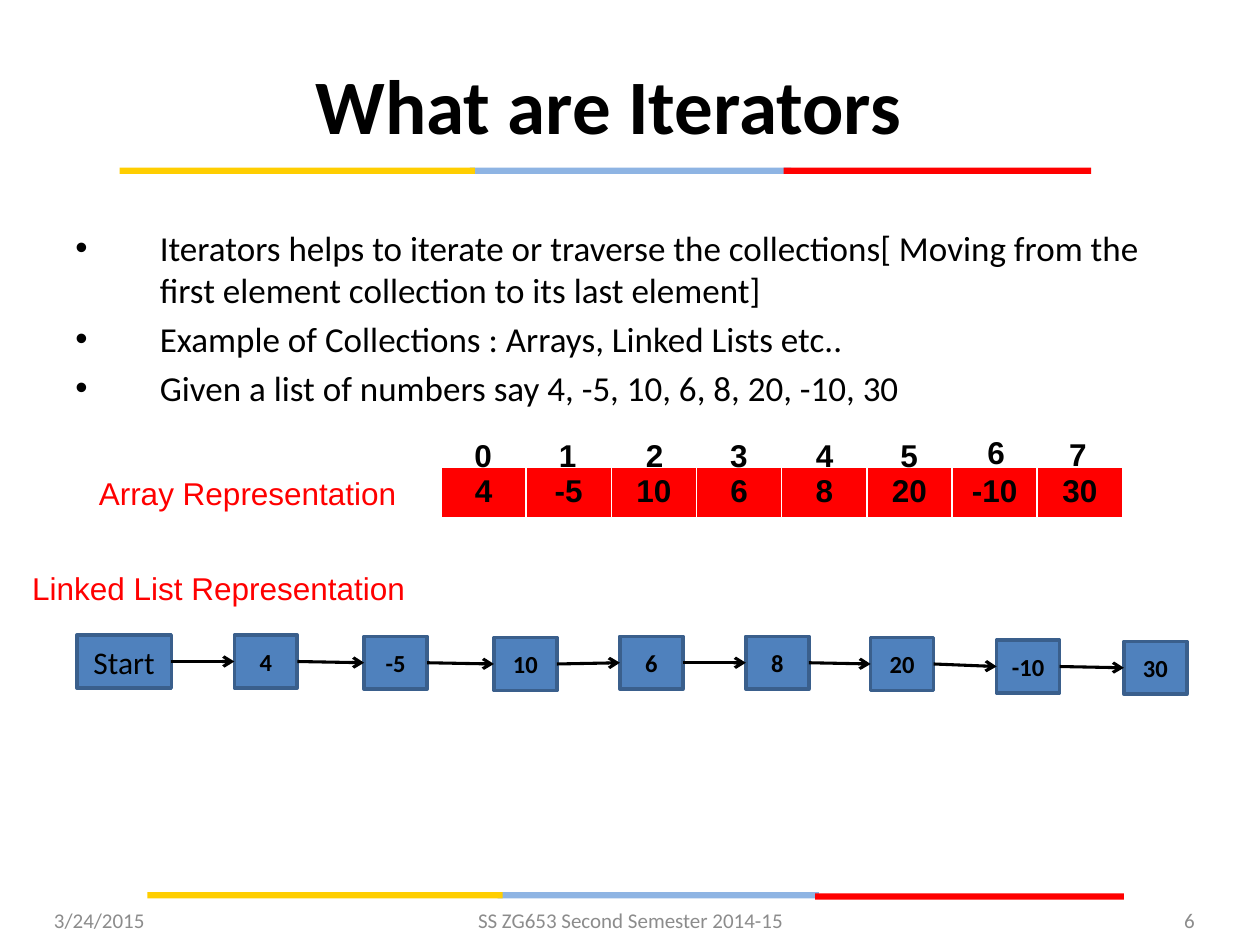
from lxml.etree import SubElement
from pptx import Presentation
from pptx.dml.color import RGBColor
from pptx.enum.shapes import MSO_CONNECTOR, MSO_SHAPE
from pptx.enum.text import MSO_ANCHOR, PP_ALIGN
from pptx.oxml.ns import qn
from pptx.util import Inches, Pt


def color(hex_string):
    return RGBColor.from_string(hex_string)


def write(shape, text, size, font="Calibri", ink="000000", bold=False,
          align=PP_ALIGN.CENTER, anchor=MSO_ANCHOR.MIDDLE, wrap=True):
    """Fill a shape or cell with text, one paragraph per line, in one format."""
    frame = shape.text_frame
    frame.text = text
    frame.word_wrap = wrap
    frame.vertical_anchor = anchor
    for paragraph in frame.paragraphs:
        paragraph.alignment = align
        for run in paragraph.runs:
            run.font.name = font
            run.font.size = Pt(size)
            run.font.bold = bold
            run.font.color.rgb = color(ink)


presentation = Presentation()
presentation.slide_width = Inches(10)
presentation.slide_height = Inches(7.5)
slide = presentation.slides.add_slide(presentation.slide_layouts[5])
shapes = slide.shapes

# Three-coloured rules under the title and above the footer
BLUE, RED, YELLOW = "8EB4E3", "FF0000", "FFCE00"
for left, top, width, fill in [
    (3.73, 1.33, 2.55, BLUE), (6.22, 1.33, 2.44, RED), (0.95, 1.33, 2.82, YELLOW),
    (3.95, 7.08, 2.55, BLUE), (6.47, 7.09, 2.45, RED), (1.17, 7.08, 2.82, YELLOW),
]:
    bar = shapes.add_shape(MSO_SHAPE.RECTANGLE, Inches(left), Inches(top),
                           Inches(width), Inches(0.05))
    bar.shadow.inherit = False
    bar.fill.solid()
    bar.fill.fore_color.rgb = color(fill)
    bar.line.fill.background()

title = shapes.title
title.left, title.top = Inches(0.33), Inches(0.31)
title.width, title.height = Inches(9), Inches(1.03)
write(title, "What are Iterators", 44, bold=True)

# Bulleted text
body = shapes.add_textbox(Inches(0.5), Inches(1.75), Inches(9), Inches(1.67))
write(body, "Iterators helps to iterate or traverse the collections"
      "[ Moving from the first element collection to its last element]\n"
      "Example of Collections : Arrays, Linked Lists etc..\n"
      "Given a list of numbers say 4, -5, 10, 6, 8, 20, -10, 30",
      20, align=PP_ALIGN.LEFT, anchor=MSO_ANCHOR.TOP)
for paragraph in body.text_frame.paragraphs:
    paragraph.space_before = Pt(4)
    properties = paragraph._p.get_or_add_pPr()
    properties.set("marL", str(Inches(0.67)))
    properties.set("indent", str(-Inches(0.67)))
    SubElement(properties, qn("a:buFont"), typeface="Arial")
    SubElement(properties, qn("a:buChar"), char="•")

for text, left, top, width in [("Array Representation", 0.67, 3.71, 2.59),
                               ("Linked List Representation", 0.14, 4.47, 3.19)]:
    label = shapes.add_textbox(Inches(left), Inches(top), Inches(width), Inches(0.4))
    write(label, text, 18, "Arial", RED, anchor=MSO_ANCHOR.TOP, wrap=False)

# Array: one row of cells with the indexes above
numbers = ["4", "-5", "10", "6", "8", "20", "-10", "30"]
table = shapes.add_table(1, len(numbers), Inches(3.5), Inches(3.71),
                         Inches(5.41), Inches(0.41)).table
table.horz_banding = False
for cell, number in zip(table.rows[0].cells, numbers):
    write(cell, number, 18, "Arial", bold=True, anchor=MSO_ANCHOR.TOP)
    for side, points in [("L", 1), ("R", 1), ("T", 1), ("B", 3)]:
        border = SubElement(cell._tc.get_or_add_tcPr(), qn(f"a:ln{side}"),
                            w=str(Pt(points)))
        SubElement(SubElement(border, qn("a:solidFill")), qn("a:srgbClr"), val="FFFFFF")
    cell.fill.solid()
    cell.fill.fore_color.rgb = color(RED)

index_places = [(3.5, 3.41), (4.17, 3.41), (4.86, 3.41), (5.53, 3.41),
                (6.21, 3.41), (6.88, 3.41), (7.57, 3.39), (8.22, 3.4)]
for index, (left, top) in enumerate(index_places):
    index_box = shapes.add_textbox(Inches(left), Inches(top), Inches(0.67), Inches(0.4))
    write(index_box, str(index), 18, "Arial", bold=True, anchor=MSO_ANCHOR.TOP)

# Linked list: each node is joined to the one before it
node_places = [(0.61, 5.04), (1.86, 5.04), (2.89, 5.05), (3.92, 5.06), (4.92, 5.05),
               (5.92, 5.05), (6.91, 5.06), (7.91, 5.08), (8.92, 5.09)]
previous = None
for text, (left, top) in zip(["Start"] + numbers, node_places):
    is_start = previous is None
    node = shapes.add_shape(MSO_SHAPE.RECTANGLE, Inches(left), Inches(top),
                            Inches(0.75 if is_start else 0.5), Inches(0.42))
    node.shadow.inherit = False
    node.fill.solid()
    node.fill.fore_color.rgb = color("4F81BD")
    node.line.color.rgb = color("3A5F8C")
    node.line.width = Pt(2)
    write(node, text, 18 if is_start else 14, bold=not is_start)
    if not is_start:
        arrow = shapes.add_connector(MSO_CONNECTOR.STRAIGHT, 0, 0, 0, 0)
        arrow.begin_connect(previous, 3)
        arrow.end_connect(node, 1)
        arrow.line.color.rgb = color("000000")
        arrow.line.width = Pt(1.75)
        SubElement(arrow.line._get_or_add_ln(), qn("a:tailEnd"), type="arrow")
        SubElement(arrow._element.spPr, qn("a:effectLst"))
    previous = node

# Footer
for text, left, width, align in [
    ("3/24/2015", 0.33, 2.33, PP_ALIGN.LEFT),
    ("SS ZG653 Second Semester 2014-15", 3.42, 3.17, PP_ALIGN.CENTER),
    ("6", 7.25, 2.33, PP_ALIGN.RIGHT),
]:
    footer = shapes.add_textbox(Inches(left), Inches(7.1), Inches(width), Inches(0.4))
    write(footer, text, 12, ink="8C8C8C", align=align)

presentation.save("out.pptx")
